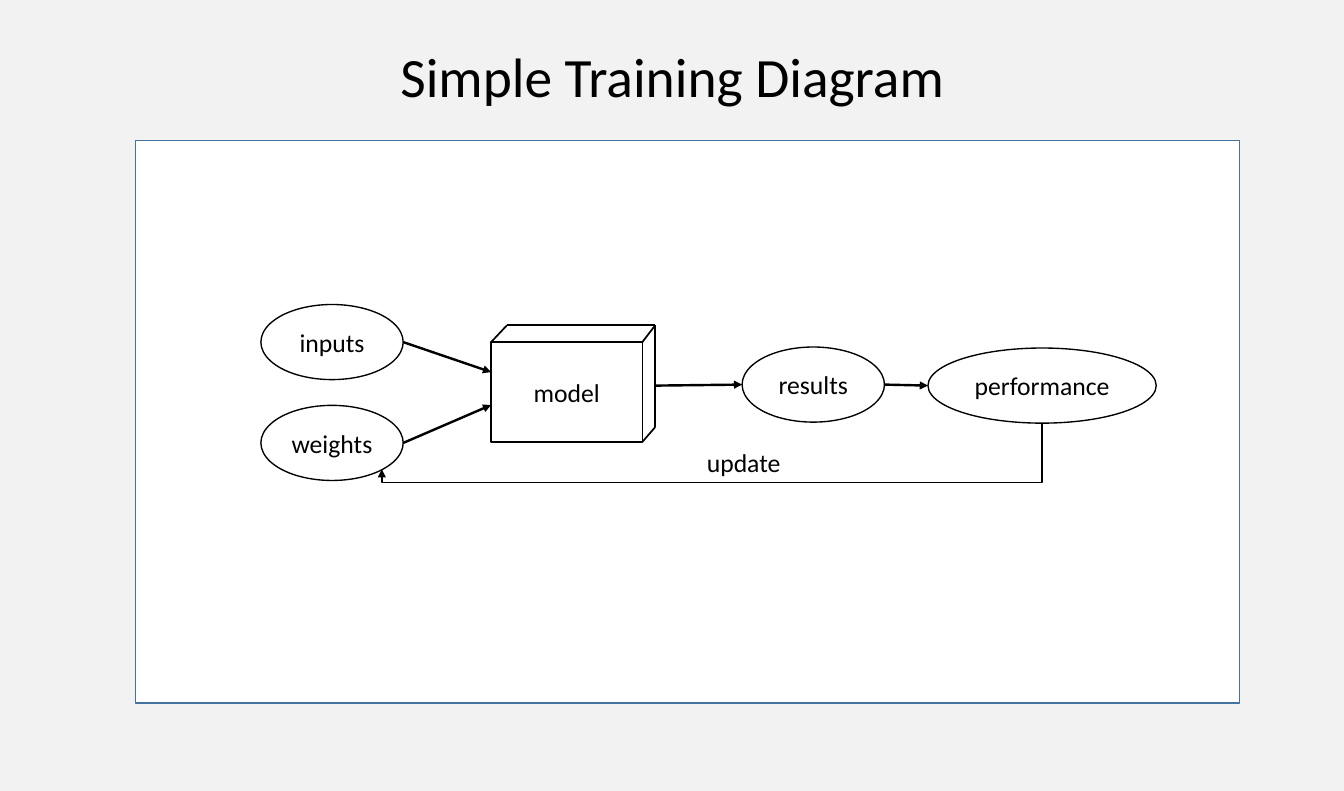
from collections import namedtuple

from lxml.etree import SubElement
from pptx import Presentation
from pptx.dml.color import RGBColor
from pptx.enum.shapes import MSO_CONNECTOR, MSO_SHAPE
from pptx.enum.text import MSO_ANCHOR, PP_ALIGN
from pptx.oxml.ns import qn
from pptx.util import Inches, Pt

BACKGROUND = RGBColor(0xF2, 0xF2, 0xF2)
WHITE = RGBColor(0xFF, 0xFF, 0xFF)
BLACK = RGBColor(0x00, 0x00, 0x00)
PANEL_BLUE = RGBColor(0x43, 0x73, 0x9E)

COLUMNS, ROWS = 136, 80
CELL = Inches(0.1)
NODE_WIDTH, NODE_HEIGHT = 14.4, 7.6
LABEL_SIZE = 18.7


class Box(namedtuple("Box", "left top width height")):
    """An area in columns and rows of the slide grid."""

    def at(self, x, y):
        """Point at shares x and y of the box."""
        return self.left + x * self.width, self.top + y * self.height

    def inner(self, left, top, width, height):
        """Box whose corner is counted from the corner of this one."""
        return Box(self.left + left, self.top + top, width, height)


def to_emu(lengths):
    return [round(length * CELL) for length in lengths]


def write(shape, text, size, line_spacing=1.0):
    frame = shape.text_frame
    frame.word_wrap = True
    frame.vertical_anchor = MSO_ANCHOR.MIDDLE
    paragraph = frame.paragraphs[0]
    paragraph.alignment = PP_ALIGN.CENTER
    paragraph.line_spacing = line_spacing
    run = paragraph.add_run()
    run.text = text
    run.font.color.rgb = BLACK
    for attribute, value in {"name": "Calibri", "size": Pt(size)}.items():
        setattr(run.font, attribute, value)


def add_label(slide, box, text, size=LABEL_SIZE, line_spacing=1.0):
    write(slide.shapes.add_textbox(*to_emu(box)), text, size, line_spacing)


def add_outlined(slide, preset, box, color=BLACK, text=None):
    shape = slide.shapes.add_shape(preset, *to_emu(box))
    shape.shadow.inherit = False
    shape.fill.solid()
    shape.fill.fore_color.rgb = WHITE
    shape.line.color.rgb = color
    shape.line.width = Pt(1)
    if text:
        write(shape, text, LABEL_SIZE)


def add_line(slide, start, end, width=1.25, arrow=False, kind=MSO_CONNECTOR.STRAIGHT):
    connector = slide.shapes.add_connector(kind, *to_emu(start + end))
    connector.line.color.rgb = BLACK
    connector.line.width = Pt(width)
    if arrow:
        SubElement(connector.line._get_or_add_ln(), qn("a:tailEnd"), type="triangle")
    SubElement(connector._element.spPr, qn("a:effectLst"))
    return connector


def add_feedback(slide, start, end, bend_row):
    """Arrow that drops to bend_row, runs left and rises to its end."""
    drop, run = end[1] - start[1], start[0] - end[0]
    center_x, center_y = (start[0] + end[0]) / 2, (start[1] + end[1]) / 2
    # A quarter turn swaps the connector's width and height.
    connector = add_line(
        slide,
        (center_x - drop / 2, center_y - run / 2),
        (center_x + drop / 2, center_y + run / 2),
        arrow=True,
        kind=MSO_CONNECTOR.ELBOW,
    )
    properties = connector._element.spPr
    properties.find(qn("a:xfrm")).set("rot", str(90 * 60000))
    adjustments = properties.find(qn("a:prstGeom")).find(qn("a:avLst"))
    bend = round((bend_row - start[1]) / drop * 100000)
    SubElement(adjustments, qn("a:gd"), name="adj1", fmla=f"val {bend}")


def add_model(slide, front):
    """Box with a visible top and right side; returns the middle of its right side."""
    add_outlined(slide, MSO_SHAPE.RECTANGLE, front, text="model")
    top_left, top_right, bottom_right = front.at(0, 0), front.at(1, 0), front.at(1, 1)
    back_top = front.top - 1.7
    back_left = (front.left + 1.6, back_top)
    back_right = (top_right[0] + 1.3, back_top)
    back_bottom = (back_right[0], bottom_right[1] - 1.5)
    for start, end in (
        (back_left, back_right),
        (top_left, back_left),
        (top_right, back_right),
        (back_right, back_bottom),
        (bottom_right, back_bottom),
    ):
        add_line(slide, start, end)
    return back_right[0], front.top + 4.4


def add_diagram(slide, panel):
    add_outlined(slide, MSO_SHAPE.RECTANGLE, panel, PANEL_BLUE)
    nodes = {
        "inputs": panel.inner(12.7, 16.6, NODE_WIDTH, NODE_HEIGHT),
        "weights": panel.inner(12.7, 26.8, NODE_WIDTH, NODE_HEIGHT),
        "results": panel.inner(61.4, 20.9, NODE_WIDTH, NODE_HEIGHT),
        "performance": panel.inner(80.2, 21, 23.1, NODE_HEIGHT),
    }
    for text, box in nodes.items():
        add_outlined(slide, MSO_SHAPE.OVAL, box, text=text)
    inputs, weights, results, performance = nodes.values()

    model = panel.inner(36, 20.4, 15.3, 10.1)
    model_output = add_model(slide, model)
    for start, end in (
        (inputs.at(1, 0.5), model.at(0, 0.3)),
        (weights.at(1, 0.5), model.at(0, 0.63)),
        (model_output, results.at(0, 0.5)),
        (results.at(1, 0.5), performance.at(0, 0.5)),
    ):
        add_line(slide, start, end, width=1.75, arrow=True)

    add_feedback(slide, performance.at(0.5, 1), weights.at(0.85, 0.85), panel.top + 34.6)
    add_label(slide, panel.inner(56.1, 30.5, 10.9, 4.1), "update")


def main():
    presentation = Presentation()
    presentation.slide_width, presentation.slide_height = COLUMNS * CELL, ROWS * CELL
    slide = presentation.slides.add_slide(presentation.slide_layouts[6])
    slide.background.fill.solid()
    slide.background.fill.fore_color.rgb = BACKGROUND
    add_label(slide, Box(9.4, 4.3, 117.3, 7.4), "Simple Training Diagram", 40.4, 0.9)
    add_diagram(slide, Box(13.7, 14.2, 111.7, 56.9))
    presentation.save("out.pptx")


if __name__ == "__main__":
    main()
